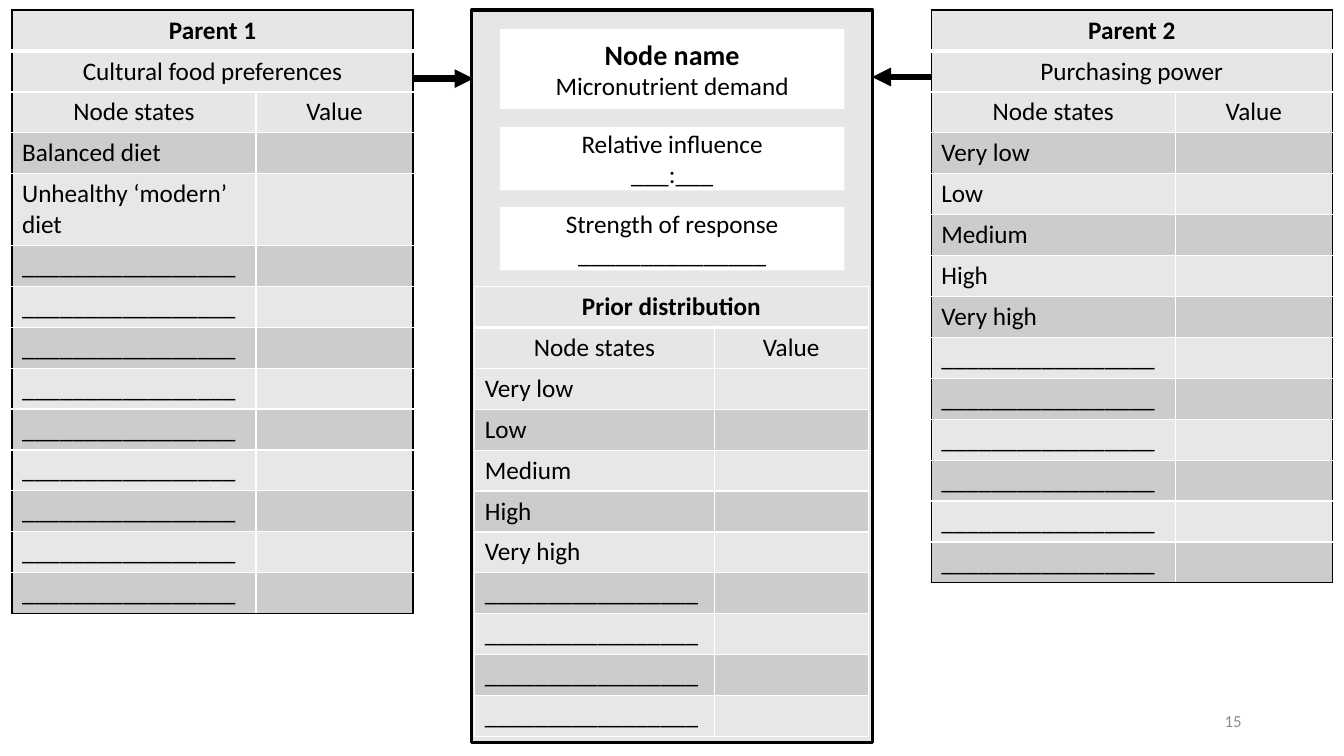
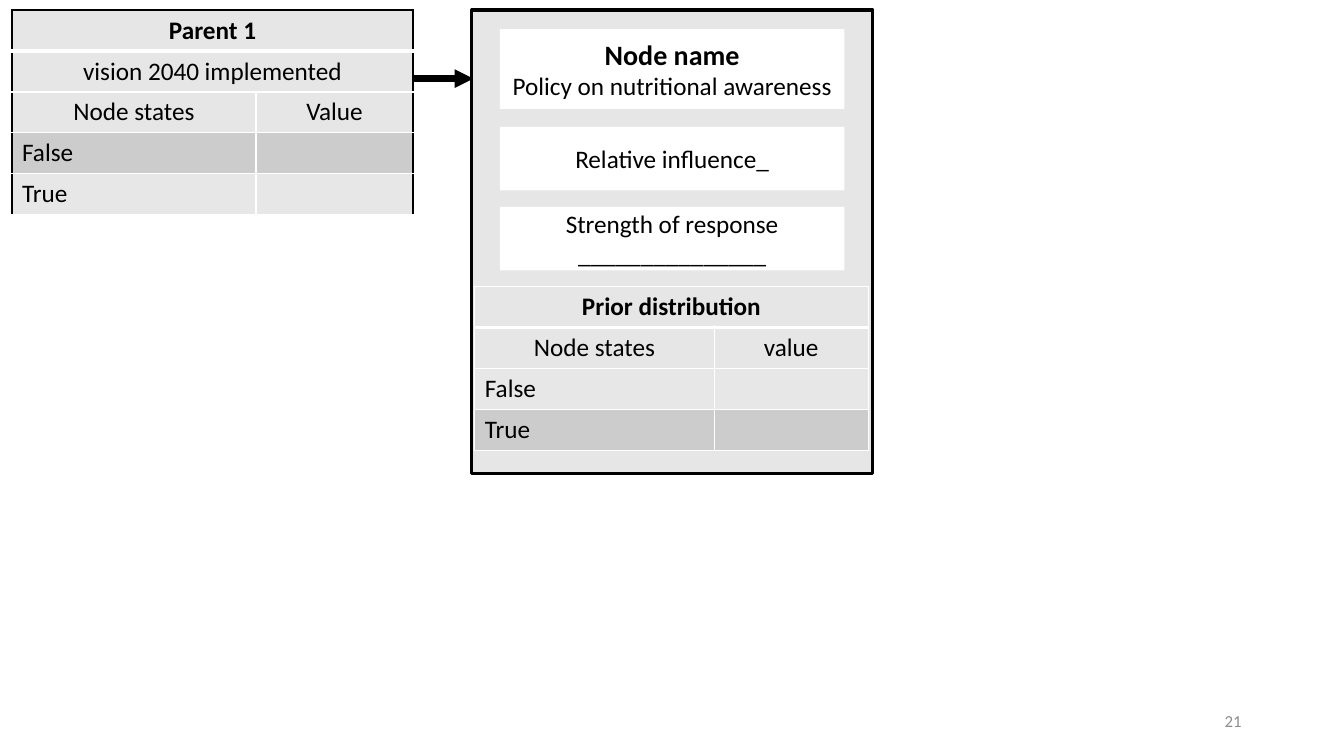
from dataclasses import dataclass

from lxml.etree import SubElement
from pptx import Presentation
from pptx.dml.color import RGBColor
from pptx.enum.shapes import MSO_CONNECTOR, MSO_SHAPE
from pptx.enum.text import MSO_ANCHOR, PP_ALIGN
from pptx.oxml import parse_xml
from pptx.oxml.ns import nsdecls, qn
from pptx.util import Pt


@dataclass(frozen=True)
class Theme:
    """Colours and type sizes shared by every slide."""

    font: str = "Calibri"
    ink: str = "000000"
    paper: str = "FFFFFF"
    panel: str = "E7E6E6"
    light_band: str = "E7E7E7"
    dark_band: str = "CCCCCC"
    muted: str = "8C8C8C"
    name_size: float = 20
    body_size: float = 18
    number_size: float = 12


class NodeDeck:
    """Draws network node worksheets on the current slide."""

    top = 7.2
    row_height = 29.25
    node_left = 337
    node_width = 286.5

    def __init__(self, theme):
        self.theme = theme
        self.presentation = Presentation()
        self.presentation.slide_width = Pt(960)
        self.presentation.slide_height = Pt(540)
        self.slide = None

    def add_slide(self):
        self.slide = self.presentation.slides.add_slide(self.presentation.slide_layouts[6])

    def format_paragraph(self, paragraph, size, align, bold=False, color=None):
        paragraph.alignment = align
        for run in paragraph.runs:
            run.font.name = self.theme.font
            run.font.size = Pt(size)
            run.font.bold = bold
            run.font.color.rgb = RGBColor.from_string(color or self.theme.ink)

    def add_arrow(self, start, end):
        points = [Pt(value) for value in (*start, *end)]
        connector = self.slide.shapes.add_connector(MSO_CONNECTOR.ELBOW, *points)
        connector.line.width = Pt(4.5)
        connector.line.color.rgb = RGBColor.from_string(self.theme.ink)
        properties = connector._element.spPr
        SubElement(properties.find(qn("a:ln")), qn("a:tailEnd"), type="triangle")
        SubElement(properties, qn("a:effectLst"))

    def add_rectangle(self, left, top, width, height, fill, outlined=False):
        shape = self.slide.shapes.add_shape(
            MSO_SHAPE.RECTANGLE, Pt(left), Pt(top), Pt(width), Pt(height))
        shape.shadow.inherit = False
        shape.fill.solid()
        shape.fill.fore_color.rgb = RGBColor.from_string(fill)
        if outlined:
            shape.line.color.rgb = RGBColor.from_string(self.theme.ink)
            shape.line.width = Pt(2.25)
        else:
            shape.line.fill.background()
        return shape

    def add_label(self, top, height, text, named=False):
        shape = self.add_rectangle(357, top, 246.25, height, self.theme.paper)
        frame = shape.text_frame
        frame.word_wrap = True
        frame.vertical_anchor = MSO_ANCHOR.MIDDLE
        frame.text = text
        for index, paragraph in enumerate(frame.paragraphs):
            is_name = named and index == 0
            size = self.theme.name_size if is_name else self.theme.body_size
            self.format_paragraph(paragraph, size, PP_ALIGN.CENTER, is_name)

    def set_borders(self, cell, borders):
        properties = cell._tc.get_or_add_tcPr()
        for index, (side, (color, width)) in enumerate(borders.items()):
            properties.insert(index, parse_xml(
                f'<a:ln{side} {nsdecls("a")} w="{int(Pt(width))}">'
                f'<a:solidFill><a:srgbClr val="{color}"/></a:solidFill></a:ln{side}>'))

    def add_states_table(self, left, top, widths, headings, states, edges=""):
        theme = self.theme
        rows = headings + [(state, "") for state in states]
        table = self.slide.shapes.add_table(
            len(rows), 2, Pt(left), Pt(top), Pt(sum(widths)),
            Pt(self.row_height * len(rows))).table
        table.first_row = table.horz_banding = False
        for column, width in zip(table.columns, widths):
            column.width = Pt(width)
        last = len(rows) - 1
        for row_index, texts in enumerate(rows):
            table.rows[row_index].height = Pt(self.row_height)
            is_heading = row_index < len(headings)
            band = theme.dark_band if row_index % 2 else theme.light_band
            for column_index in range(2):
                cell = table.cell(row_index, column_index)
                cell.fill.solid()
                cell.fill.fore_color.rgb = RGBColor.from_string(
                    theme.panel if is_heading else band)
                outer = {"L": column_index == 0, "R": column_index == 1 or len(texts) == 1,
                         "T": row_index == 0, "B": row_index == last}
                borders = {side: (theme.ink if at_edge and side in edges else theme.paper, 1)
                           for side, at_edge in outer.items()}
                if row_index == 0:
                    borders["B"] = (theme.paper, 3)
                elif row_index == 1:
                    borders["T"] = (theme.paper, 3)
                self.set_borders(cell, borders)
            if len(texts) == 1:
                table.cell(row_index, 0).merge(table.cell(row_index, 1))
            for column_index, text in enumerate(texts):
                frame = table.cell(row_index, column_index).text_frame
                frame.text = text
                self.format_paragraph(
                    frame.paragraphs[0], theme.body_size,
                    PP_ALIGN.CENTER if is_heading else PP_ALIGN.LEFT, row_index == 0)

    def add_parent(self, left, title, name, states, edges="LRTB"):
        headings = [(title,), (name,), ("Node states", "Value")]
        self.add_states_table(left, self.top, (174.25, 112.25), headings, states, edges)

    def add_node(self, height, name, influence, value_heading, states):
        self.add_rectangle(
            self.node_left, self.top, self.node_width, height, self.theme.panel, True)
        self.add_label(90.7, 45.4, influence)
        self.add_label(147.8, 45.4, "Strength of response\n" + "_" * 15)
        self.add_label(20.9, 56.9, f"Node name\n{name}", True)
        headings = [("Prior distribution",), ("Node states", value_heading)]
        self.add_states_table(339.1, 204.6, (171, 110), headings, states)

    def add_number(self, number):
        box = self.slide.shapes.add_textbox(Pt(678), Pt(500.5), Pt(216), Pt(28.75))
        frame = box.text_frame
        frame.word_wrap = True
        frame.vertical_anchor = MSO_ANCHOR.MIDDLE
        frame.text = str(number)
        self.format_paragraph(frame.paragraphs[0], self.theme.number_size,
                              PP_ALIGN.RIGHT, color=self.theme.muted)


def main():
    deck = NodeDeck(Theme())
    blank = "_" * 17
    levels = ["Very low", "Low", "Medium", "High", "Very high"]
    truth = ["False", "True"]
    left_arrow = ((225.5, 61.2), (338.2, 56.2))
    right_arrow = ((722, 56), (623, 55))
    first_left, second_left = 8.6, 665.2

    deck.add_slide()
    deck.add_arrow(*left_arrow)
    deck.add_arrow(*right_arrow)
    deck.add_node(523.4, "Micronutrient demand", "Relative influence\n___:___",
                  "Value", levels + [blank] * 4)
    deck.add_parent(first_left, "Parent 1", "Cultural food preferences",
                    ["Balanced diet", "Unhealthy ‘modern’ diet"] + [blank] * 9)
    deck.add_parent(second_left, "Parent 2", "Purchasing power", levels + [blank] * 6)
    deck.add_number(15)

    deck.add_slide()
    deck.add_arrow(*left_arrow)
    deck.add_node(331.2, "Policy on nutritional awareness", "Relative influence_",
                  "value", truth)
    deck.add_parent(first_left, "Parent 1", "vision 2040 implemented", truth, "LRT")
    deck.add_number(21)

    deck.presentation.save("out.pptx")


if __name__ == "__main__":
    main()
